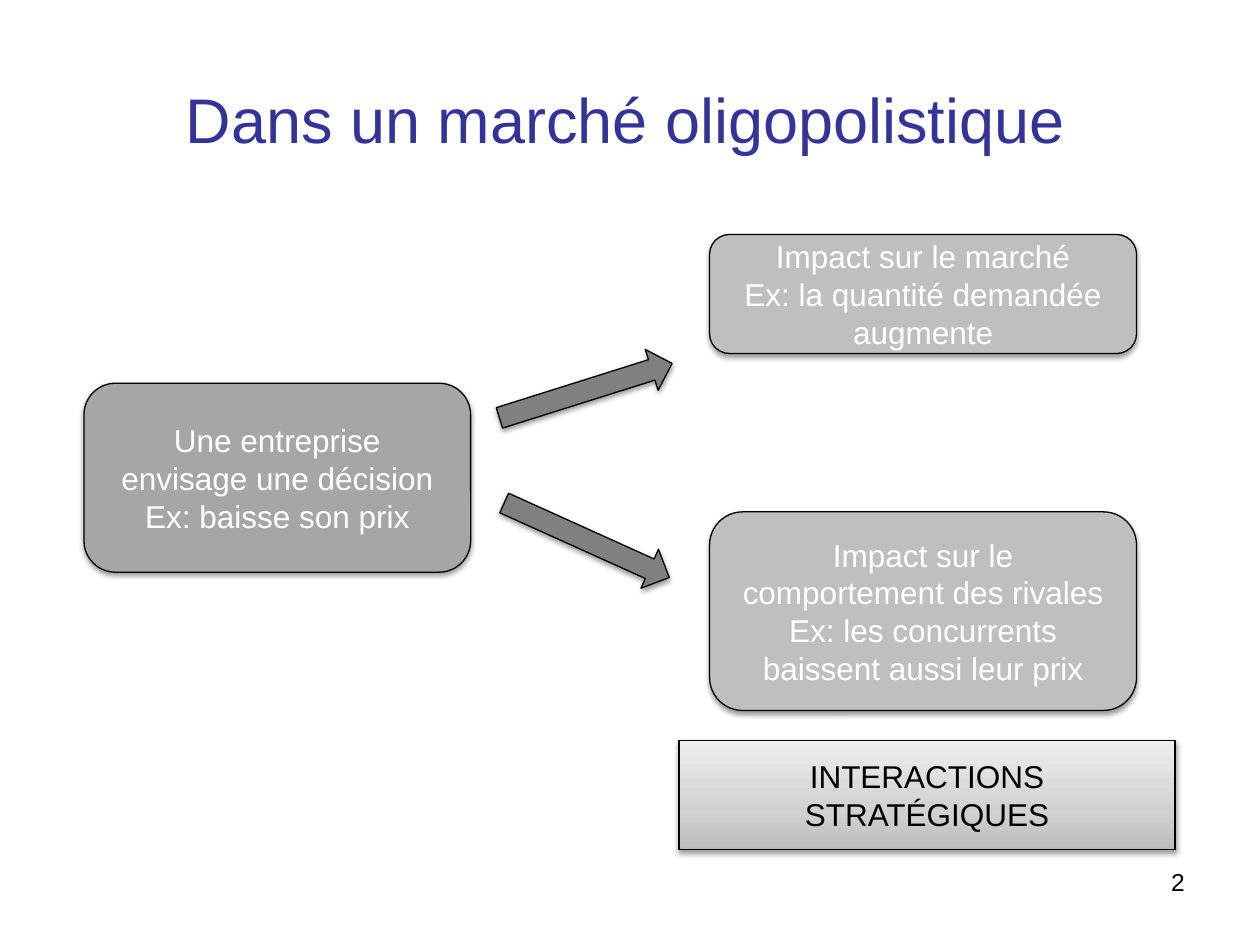
from copy import deepcopy
from lxml.etree import SubElement
from pptx import Presentation
from pptx.dml.color import RGBColor
from pptx.enum.shapes import MSO_SHAPE as Shape
from pptx.enum.text import MSO_ANCHOR as Anchor, PP_ALIGN as Align
from pptx.oxml.ns import qn
from pptx.util import Pt

TITLE = "Dans un marché oligopolistique"
NUMBER = "2"
ROUND, ARROW, RECT = Shape.ROUNDED_RECTANGLE, Shape.RIGHT_ARROW, Shape.RECTANGLE
WHITE, BLACK, BLUE = "FFFFFF", "000000", "333399"
DARK, MID, LIGHT = "808080", "A6A6A6", "BFBFBF"
GRADE = [(0, "BDBDBD"), (0.35, "D1D1D1"), (1, "EEEEEE")]

# kind, (left, top, width, height), turn, fill, text colour, lines
PARTS = [
    (ROUND, (48, 219, 221, 108), 0, MID, WHITE,
     ["Une entreprise", "envisage une décision", "Ex: baisse son prix"]),
    (ARROW, (283, 211, 103.5, 24.5), 342.5, DARK, WHITE, []),
    (ROUND, (405.5, 134, 244, 68), 0, LIGHT, WHITE,
     ["Impact sur le marché", "Ex: la quantité demandée augmente"]),
    (ARROW, (283.5, 296.5, 103.5, 24.5), 24.3, DARK, WHITE, []),
    (ROUND, (405.5, 292.5, 244, 113.5), 0, LIGHT, WHITE,
     ["Impact sur le comportement des rivales",
      "Ex: les concurrents baissent aussi leur prix"]),
    (RECT, (388, 423, 283.5, 62.5), 0, GRADE, BLACK,
     ["INTERACTIONS STRATÉGIQUES"]),
]


def rgb(code):
    return RGBColor.from_string(code)


def write(shape, lines, size, color, align=Align.CENTER, anchor=Anchor.MIDDLE):
    frame = shape.text_frame
    frame.word_wrap = True
    frame.vertical_anchor = anchor
    frame.text = "\n".join(lines)
    for para in frame.paragraphs:
        para.alignment = align
        font = para.font
        for key, value in {"name": "Arial", "size": Pt(size)}.items():
            setattr(font, key, value)
        font.color.rgb = rgb(color)


def paint(shape, fill, line, width):
    """Fill with one colour, or with a list of gradient stops from the bottom up."""
    if isinstance(fill, str):
        shape.fill.solid()
        shape.fill.fore_color.rgb = rgb(fill)
    else:
        shape.fill.gradient()
        shape.fill.gradient_angle = 90
        stops = shape._element.spPr.find(".//" + qn("a:gsLst"))
        while len(stops) < len(fill):
            stops.append(deepcopy(stops[0]))
        for stop, (place, code) in zip(shape.fill.gradient_stops, fill):
            stop.position = place
            stop.color.rgb = rgb(code)
    shape.line.color.rgb = rgb(line)
    shape.line.width = Pt(width)


def shade(shape):
    """Add a soft shadow just below the shape."""
    shape.shadow.inherit = False
    effects = shape._element.spPr.find(qn("a:effectLst"))
    outer = SubElement(effects, qn("a:outerShdw"), blurRad=str(Pt(3.1)),
                       dist=str(Pt(1.6)), dir="5400000", rotWithShape="0")
    color = SubElement(outer, qn("a:srgbClr"), val=BLACK)
    SubElement(color, qn("a:alpha"), val="38000")


def main():
    deck = Presentation()
    deck.slide_width, deck.slide_height = Pt(720), Pt(540)
    slide = deck.slides.add_slide(deck.slide_layouts[5])
    shapes = slide.shapes

    title = shapes.title
    box = {"left": 88, "top": 39, "width": 538.5, "height": 57}
    for key, value in box.items():
        setattr(title, key, Pt(value))
    paint(title, WHITE, WHITE, 2)
    write(title, [TITLE], 36, BLUE)

    number = shapes.add_textbox(*map(Pt, (516, 492, 168, 37.5)))
    write(number, [NUMBER], 14, BLACK, Align.RIGHT, Anchor.TOP)

    for kind, place, turn, fill, color, lines in PARTS:
        part = shapes.add_shape(kind, *map(Pt, place))
        part.rotation = turn
        paint(part, fill, BLACK, 0.75)
        shade(part)
        if lines:
            write(part, lines, 18, color)

    deck.save("out.pptx")


if __name__ == "__main__":
    main()
